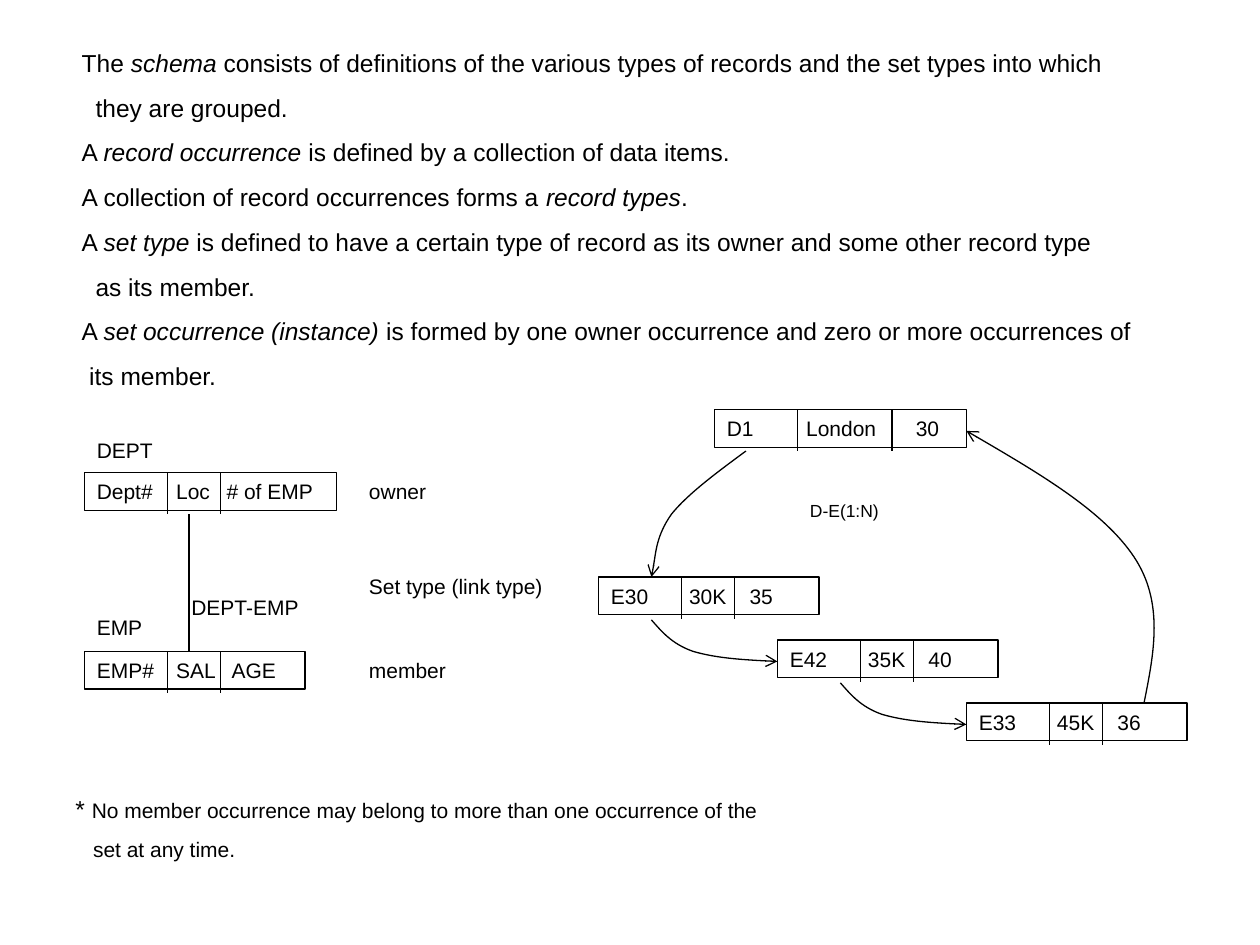
from dataclasses import dataclass

from lxml import etree
from pptx import Presentation
from pptx.dml.color import RGBColor
from pptx.enum.shapes import MSO_CONNECTOR, MSO_SHAPE
from pptx.enum.text import MSO_ANCHOR, MSO_AUTO_SIZE, PP_ALIGN
from pptx.oxml.ns import qn
from pptx.util import Inches, Pt

STRAIGHT = MSO_CONNECTOR.STRAIGHT
RECTANGLE = MSO_SHAPE.RECTANGLE
TOP = MSO_ANCHOR.TOP
LEFT = PP_ALIGN.LEFT
FIT_SHAPE = MSO_AUTO_SIZE.SHAPE_TO_FIT_TEXT
BLACK = RGBColor(0, 0, 0)
FONT = "Arial"
LINE_WIDTH = Pt(0.75)
ROW_HEIGHT = 0.3
DIVIDER_HEIGHT = 0.33


@dataclass(frozen=True)
class Statement:
    start: str
    term: str = ""
    rest: str = ""
    indent: float = 0.05


@dataclass(frozen=True)
class Record:
    left: float
    top: float
    width: float
    fields: tuple[str, ...]
    tabs: tuple[float, float]
    dividers: tuple[float, float] = (0.66, 1.08)


@dataclass(frozen=True)
class Label:
    text: str
    left: float
    top: float
    width: float
    size: float = 12


STATEMENTS = (
    Statement("The ", "schema", " consists of definitions of the various types of records"
              " and the set types into which"),
    Statement("they are grouped.", indent=0.16),
    Statement("A ", "record occurrence", " is defined by a collection of data items."),
    Statement("A collection of record occurrences forms a ", "record types", "."),
    Statement("A ", "set type", " is defined to have a certain type of record as its owner"
              " and some other record type"),
    Statement("as its member.", indent=0.16),
    Statement("A ", "set occurrence (instance)", " is formed by one owner occurrence"
              " and zero or more occurrences of"),
    Statement("its member.", indent=0.11),
)

EMPLOYEE_TABS = (0.62, 1.1)
RECORDS = (
    Record(0.67, 3.75, 2, ("Dept#", "Loc", "# of EMP"), (0.63, 1.03)),
    Record(0.67, 5.17, 1.75, ("EMP#", "SAL", "AGE"), (0.63, 1.07)),
    Record(5.67, 3.25, 2, ("D1", "London", "30"), (0.63, 1.5), (0.66, 1.41)),
    Record(4.75, 4.58, 1.75, ("E30", "30K", "35"), EMPLOYEE_TABS),
    Record(6.17, 5.08, 1.75, ("E42", "35K", "40"), EMPLOYEE_TABS),
    Record(7.67, 5.58, 1.75, ("E33", "45K", "36"), EMPLOYEE_TABS),
)

LABELS = (
    Label("DEPT", 0.67, 3.42, 1.33),
    Label("EMP", 0.67, 4.83, 0.6),
    Label("owner", 2.83, 3.75, 0.75),
    Label("member", 2.83, 5.17, 0.92),
    Label("Set type (link type)", 2.83, 4.5, 1.6),
    Label("DEPT-EMP", 1.42, 4.67, 1.08),
    Label("D-E(1:N)", 6.33, 3.92, 0.92, 10),
)

NEXT_MEMBER = ((0, 0), (0.08, 0.09), (0.16, 0.19), (0.33, 0.25),
               (0.5, 0.3), (0.75, 0.32), (1, 0.33))
TO_FIRST_MEMBER = ((5.92, 3.58), (5.69, 3.75), (5.46, 3.92), (5.33, 4.08),
                   (5.21, 4.25), (5.19, 4.5), (5.17, 4.58))
BACK_TO_OWNER = ((9.08, 5.58), (9.16, 5.18), (9.24, 4.78), (9, 4.42),
                 (8.76, 4.06), (8.22, 3.74), (7.67, 3.42))


def style_paragraph(paragraph, size: float) -> None:
    paragraph.alignment = LEFT
    paragraph.font.name = FONT
    paragraph.font.size = Pt(size)
    paragraph.font.color.rgb = BLACK


def prepare_frame(shape):
    frame = shape.text_frame
    frame.word_wrap = True
    frame.auto_size = FIT_SHAPE
    frame.vertical_anchor = TOP
    return frame


def add_text_frame(slide, left: float, top: float, width: float, height: float):
    box = slide.shapes.add_textbox(Inches(left), Inches(top), Inches(width), Inches(height))
    return prepare_frame(box)


def set_line(shape) -> None:
    shape.line.color.rgb = BLACK
    shape.line.width = LINE_WIDTH


def add_line(slide, x1: float, y1: float, x2: float, y2: float) -> None:
    line = slide.shapes.add_connector(STRAIGHT, Inches(x1), Inches(y1), Inches(x2), Inches(y2))
    set_line(line)
    etree.SubElement(line._element.spPr, qn("a:effectLst"))


def add_statements(slide) -> None:
    frame = add_text_frame(slide, 0.5, 0.33, 8.92, 2.82)
    for index, statement in enumerate(STATEMENTS):
        paragraph = frame.add_paragraph() if index else frame.paragraphs[0]
        if index:
            paragraph.space_before = Pt(8.8)
        paragraph._p.get_or_add_pPr().set("marL", str(Inches(statement.indent)))
        paragraph.add_run().text = statement.start
        if statement.term:
            term = paragraph.add_run()
            term.text = statement.term
            term.font.italic = True
            paragraph.add_run().text = statement.rest
        style_paragraph(paragraph, 14)


def add_record(slide, record: Record) -> None:
    row = slide.shapes.add_shape(RECTANGLE, Inches(record.left), Inches(record.top),
                                 Inches(record.width), Inches(ROW_HEIGHT))
    row.shadow.inherit = False
    row.fill.background()
    set_line(row)
    paragraph = prepare_frame(row).paragraphs[0]
    paragraph.add_run().text = "\t".join(record.fields)
    stops = etree.SubElement(paragraph._p.get_or_add_pPr(), qn("a:tabLst"))
    for position in record.tabs:
        etree.SubElement(stops, qn("a:tab"), pos=str(Inches(position)), algn="l")
    style_paragraph(paragraph, 12)
    for offset in record.dividers:
        x = record.left + offset
        add_line(slide, x, record.top, x, record.top + DIVIDER_HEIGHT)


def add_label(slide, label: Label) -> None:
    frame = add_text_frame(slide, label.left, label.top, label.width, ROW_HEIGHT)
    paragraph = frame.paragraphs[0]
    paragraph.add_run().text = label.text
    style_paragraph(paragraph, label.size)


def add_curved_arrow(slide, points, left: float = 0, top: float = 0) -> None:
    start, *controls = [(Inches(left + x), Inches(top + y)) for x, y in points]
    builder = slide.shapes.build_freeform(*start)
    builder.add_line_segments(controls, close=False)
    arrow = builder.convert_to_shape()
    segments = list(arrow._element.iter(qn("a:lnTo")))
    for first in range(0, len(segments), 3):
        bend = etree.Element(qn("a:cubicBezTo"))
        segments[first].addprevious(bend)
        for segment in segments[first:first + 3]:
            bend.append(segment[0])
            segment.getparent().remove(segment)
    arrow.shadow.inherit = False
    arrow.fill.background()
    set_line(arrow)
    etree.SubElement(arrow.line._get_or_add_ln(), qn("a:tailEnd"), type="arrow")


def add_footnote(slide) -> None:
    frame = add_text_frame(slide, 0.5, 6.25, 5.75, 0.64)
    opening = frame.paragraphs[0]
    star = opening.add_run()
    star.text = "* "
    star.font.size = Pt(14)
    opening.add_run().text = "No member occurrence may belong to more than one occurrence of the"
    ending = frame.add_paragraph()
    ending.add_run().text = "set at any time."
    ending.space_before = Pt(7.5)
    ending._p.get_or_add_pPr().set("marL", str(Inches(0.14)))
    for paragraph in (opening, ending):
        style_paragraph(paragraph, 12)


def main() -> None:
    deck = Presentation()
    deck.slide_width, deck.slide_height = Inches(10), Inches(7.5)
    slide = deck.slides.add_slide(deck.slide_layouts[6])
    add_statements(slide)
    for record in RECORDS:
        add_record(slide, record)
    add_line(slide, 1.5, 4.08, 1.5, 5.17)
    for label in LABELS:
        add_label(slide, label)
    add_curved_arrow(slide, TO_FIRST_MEMBER)
    add_curved_arrow(slide, NEXT_MEMBER, 5.17, 4.92)
    add_curved_arrow(slide, NEXT_MEMBER, 6.67, 5.42)
    add_curved_arrow(slide, BACK_TO_OWNER)
    add_footnote(slide)
    deck.save("out.pptx")


if __name__ == "__main__":
    main()
